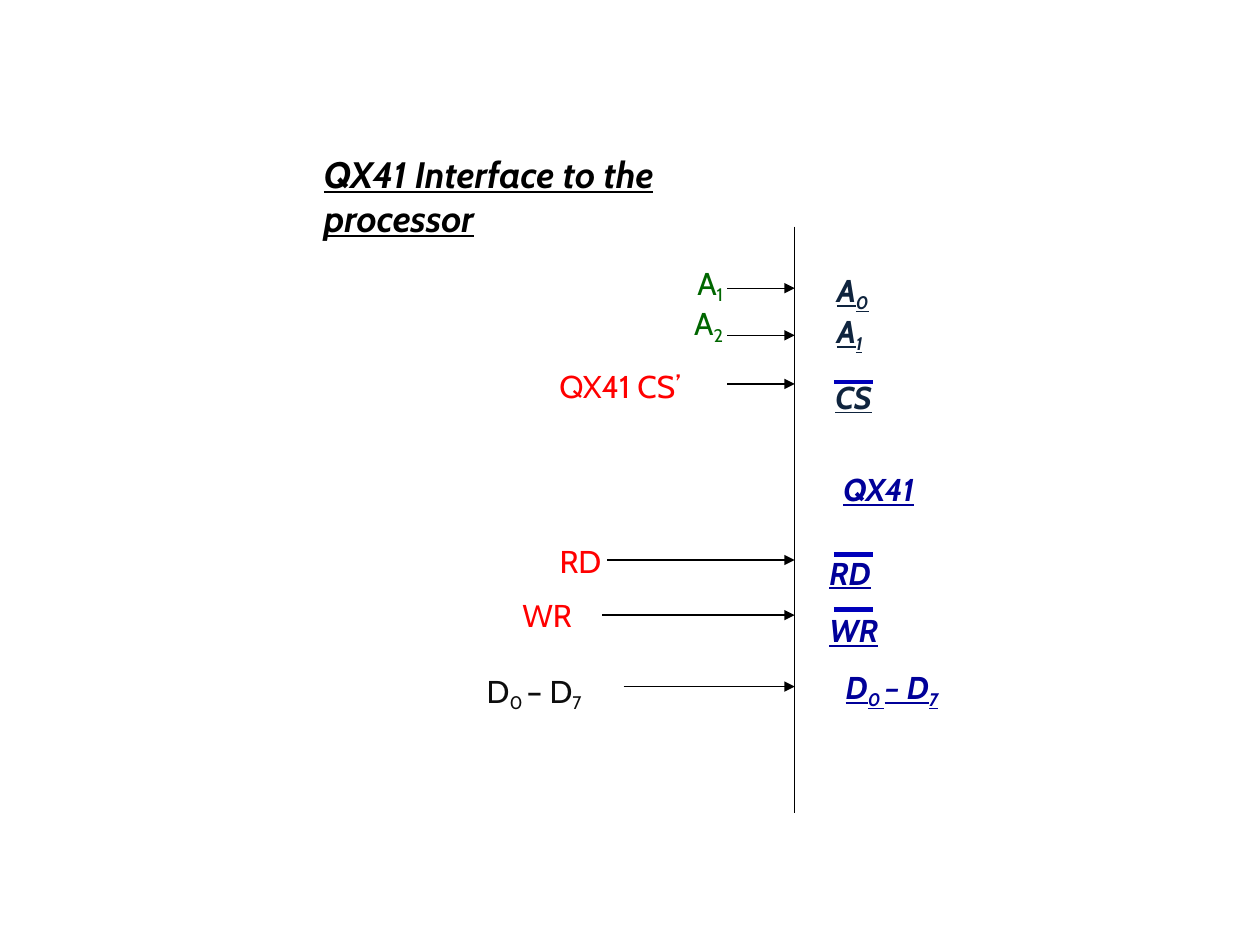
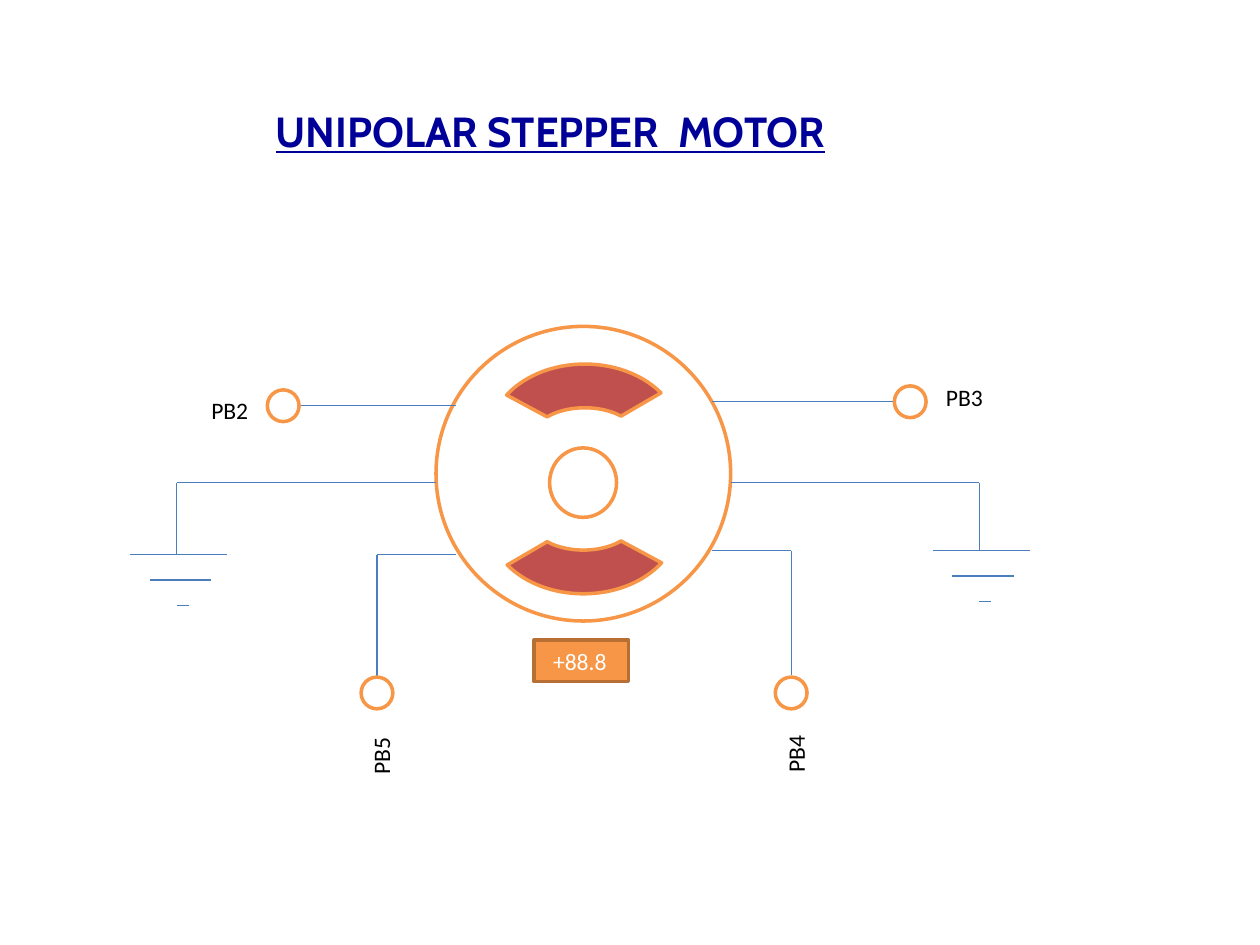
from dataclasses import dataclass
from itertools import pairwise

from lxml.etree import SubElement
from pptx import Presentation
from pptx.dml.color import RGBColor
from pptx.enum.shapes import MSO_CONNECTOR, MSO_SHAPE
from pptx.enum.text import MSO_ANCHOR, MSO_AUTO_SIZE, PP_ALIGN
from pptx.oxml.ns import qn
from pptx.util import Cm, Pt


@dataclass(frozen=True)
class Theme:
    black: str = "000000"
    white: str = "FFFFFF"
    ink: str = "0D0D0D"
    navy: str = "000099"
    slate: str = "0F243E"
    overbar: str = "0000BB"
    red: str = "FF0000"
    green: str = "006600"
    wire: str = "4B7EBC"
    orange: str = "F79646"
    brown: str = "B76F34"
    magnet: str = "C0504D"
    signal_font: str = "Cabin"
    motor_font: str = "Calibri"
    interface_title: float = 21
    motor_title: float = 24
    signal_size: float = 18
    motor_size: float = 13.5
    thin: float = 0.75
    outline: float = 2
    bar: float = 2.5


THEME = Theme()
TIMER = "QX41"
SIGNAL_INSETS = (0.03, 0.03, 0, 0)
MOTOR_INSETS = (0.25, 0.13, 0.25, 0.13)


# --- Text ---
def style_font(font, name, size, color, bold=False, italic=False, underline=False):
    font.name, font.size = name, Pt(size)
    font.color.rgb = RGBColor.from_string(color)
    font.bold, font.italic, font.underline = bold, italic, underline


def set_frame(frame, insets, anchor=MSO_ANCHOR.TOP):
    frame.word_wrap = True
    frame.auto_size = MSO_AUTO_SIZE.NONE
    frame.vertical_anchor = anchor
    (frame.margin_left, frame.margin_top,
     frame.margin_right, frame.margin_bottom) = map(Cm, insets)


def add_box(slide, left, top, width, height, insets):
    box = slide.shapes.add_textbox(Cm(left), Cm(top), Cm(width), Cm(height))
    set_frame(box.text_frame, insets)
    return box


def write_signal(paragraph, signal):
    """Write a signal name; the character after each "_" is a subscript."""
    base, *indexed = signal.split("_")
    pieces = [(base, False)]
    for part in indexed:
        pieces += [(part[0], True), (part[1:], False)]
    for text, lowered in pieces:
        if text:
            run = paragraph.add_run()
            run.text = text
            if lowered:
                run._r.get_or_add_rPr().set("baseline", "-21000")


def add_signals(slide, left, top, width, height, signals, pin=False):
    """Stack (name, colour, space before, line spacing, alignment) lines."""
    frame = add_box(slide, left, top, width, height, SIGNAL_INSETS).text_frame
    for index, (name, color, before, leading, align) in enumerate(signals):
        paragraph = frame.add_paragraph() if index else frame.paragraphs[0]
        paragraph.space_before = Pt(before)
        paragraph.alignment = align
        if leading:
            paragraph.line_spacing = Pt(leading)
        style_font(paragraph.font, THEME.signal_font, THEME.signal_size, color,
                   bold=pin, italic=pin, underline=pin)
        write_signal(paragraph, name)


def line_of(name, color, before=0.8, leading=None, align=PP_ALIGN.LEFT):
    return name, color, before, leading, align


def add_title(slide, text, place, size, color, italic=False):
    title = slide.shapes.title
    title.left, title.top, title.width, title.height = map(Cm, place)
    set_frame(title.text_frame, (0.03 if italic else 0, 0, 0, 0))
    title.text_frame.text = text
    paragraph = title.text_frame.paragraphs[0]
    paragraph.alignment = PP_ALIGN.LEFT
    style_font(paragraph.font, THEME.signal_font, size, color,
               bold=True, italic=italic, underline=True)


# --- Lines and shapes ---
def add_line(slide, start, end, color, width=THEME.thin, arrow=False):
    line = slide.shapes.add_connector(
        MSO_CONNECTOR.STRAIGHT, *map(Cm, (*start, *end)))
    line.line.color.rgb = RGBColor.from_string(color)
    line.line.width = Pt(width)
    if arrow:
        SubElement(line.line._get_or_add_ln(), qn("a:tailEnd"), type="triangle")
    SubElement(line._element.spPr, qn("a:effectLst"))


def add_wire(slide, *points):
    for start, end in pairwise(points):
        add_line(slide, start, end, THEME.wire)


def add_part(slide, kind, left, top, width, height,
             fill=THEME.white, outline=THEME.orange):
    part = slide.shapes.add_shape(kind, *map(Cm, (left, top, width, height)))
    part.shadow.inherit = False
    part.fill.solid()
    part.fill.fore_color.rgb = RGBColor.from_string(fill)
    part.line.color.rgb = RGBColor.from_string(outline)
    part.line.width = Pt(THEME.outline)
    return part


def add_magnet(slide, left, top, rotation=0):
    magnet = add_part(slide, MSO_SHAPE.BLOCK_ARC, left, top, 3.86, 2.95, THEME.magnet)
    for index, value in enumerate((125.013, 197.885, 0.299)):
        magnet.adjustments[index] = value
    magnet.rotation = rotation


def add_ground(slide, stem, top):
    """Three shrinking bars below a stem."""
    for row, (before, after) in enumerate(((0.94, 1.02), (0.54, 0.7), (0, 0.24))):
        y = top + row * 0.51
        add_wire(slide, (stem - before, y), (stem + after, y))


def write_motor_text(frame, text, color):
    frame.text = text
    frame.paragraphs[0].alignment = PP_ALIGN.LEFT
    style_font(frame.paragraphs[0].font, THEME.motor_font, THEME.motor_size, color)


def add_terminal(slide, name, circle, label, rotation=0):
    add_part(slide, MSO_SHAPE.OVAL, *circle, 0.64, 0.64)
    box = add_box(slide, *label, 1.9, 0.84, MOTOR_INSETS)
    box.rotation = rotation
    write_motor_text(box.text_frame, name, THEME.black)


# --- Slides ---
def build_interface(slide):
    add_title(slide, f"{TIMER} Interface to the processor", (6.5, 3.05, 9.4, 1.83),
              THEME.interface_title, THEME.black, italic=True)

    # Pins of the timer chip
    add_signals(slide, 16.84, 5.49, 1.35, 1.63,
                [line_of("A_0", THEME.slate, leading=22.5),
                 line_of("A_1", THEME.slate, leading=22.5)], pin=True)
    for name, left, top, width, color in (
            ("CS", 16.81, 7.59, 0.95, THEME.slate),
            (TIMER, 16.97, 9.45, 2.51, THEME.navy),
            ("RD", 16.69, 11.13, 1.3, THEME.navy),
            ("WR", 16.69, 12.29, 1.3, THEME.navy),
            ("D_0_ – D_7", 17.02, 13.44, 2.82, THEME.navy)):
        add_signals(slide, left, top, width, 0.79, [line_of(name, color)], pin=True)
    for y in (7.7, 11.18, 12.29):
        add_line(slide, (16.81, y), (17.6, y), THEME.overbar, THEME.bar)

    # Signals of the processor
    add_signals(slide, 11.25, 5.33, 3.33, 2.9,
                [line_of("A_1", THEME.green, leading=22.5, align=PP_ALIGN.RIGHT),
                 line_of("A_2", THEME.green, leading=22.5, align=PP_ALIGN.RIGHT),
                 line_of(f"{TIMER} CS’", THEME.red, before=12)])
    for name, left, top, width, color in (
            ("RD", 11.25, 10.9, 1, THEME.red),
            ("WR", 10.5, 11.99, 1.6, THEME.red),
            ("D_0_ – D_7", 9.78, 13.51, 2.49, THEME.ink)):
        add_signals(slide, left, top, width, 0.79, [line_of(name, color)])

    # Chip edge and the arrows that reach it
    edge = 16.02
    add_line(slide, (edge, 4.57), (edge, 16.38), THEME.black)
    for start, y in ((14.66, 5.81), (14.66, 6.76), (14.66, 7.74),
                     (12.24, 11.29), (12.14, 12.4), (12.57, 13.84)):
        add_line(slide, (start, y), (edge, y), THEME.black, arrow=True)


def build_motor(slide):
    add_title(slide, "UNIPOLAR STEPPER  MOTOR", (5.56, 2.13, 18.44, 1.02),
              THEME.motor_title, THEME.navy)

    # Motor body
    add_part(slide, MSO_SHAPE.OVAL, 8.79, 6.58, 5.94, 5.94)
    add_magnet(slide, 9.86, 7.34)
    add_magnet(slide, 9.83, 9.02, rotation=180)
    add_part(slide, MSO_SHAPE.OVAL, 11.08, 9.03, 1.35, 1.4)

    # Coil leads and grounds
    add_wire(slide, (5.99, 8.18), (9.19, 8.18))
    add_wire(slide, (9.19, 11.18), (7.6, 11.18), (7.6, 13.67))
    add_wire(slide, (14.35, 8.1), (18.01, 8.1))
    add_wire(slide, (14.35, 11.1), (15.95, 11.1), (15.95, 13.61))
    for body, stem, top in ((8.79, 3.56, 11.18), (14.73, 19.74, 11.1)):
        add_wire(slide, (body, 9.73), (stem, 9.73), (stem, top))
        add_ground(slide, stem, top)

    # Port terminals
    add_terminal(slide, "PB2", (5.39, 7.86), (4.01, 7.85))
    add_terminal(slide, "PB3", (18.03, 7.78), (18.82, 7.59))
    add_terminal(slide, "PB5", (7.28, 13.65), (6.73, 14.5), rotation=270)
    add_terminal(slide, "PB4", (15.63, 13.65), (15.09, 14.45), rotation=270)

    # Supply reading
    supply = add_part(slide, MSO_SHAPE.RECTANGLE, 10.77, 12.9, 1.9, 0.84,
                      THEME.orange, THEME.brown)
    set_frame(supply.text_frame, (0.38, 0.13, 0.25, 0.13), MSO_ANCHOR.MIDDLE)
    write_motor_text(supply.text_frame, "+88.8", THEME.white)


def main():
    deck = Presentation()
    deck.slide_width, deck.slide_height = Cm(25.4), Cm(19.05)
    title_only = deck.slide_layouts[5]
    for build in (build_interface, build_motor):
        build(deck.slides.add_slide(title_only))
    deck.save("out.pptx")


main()
